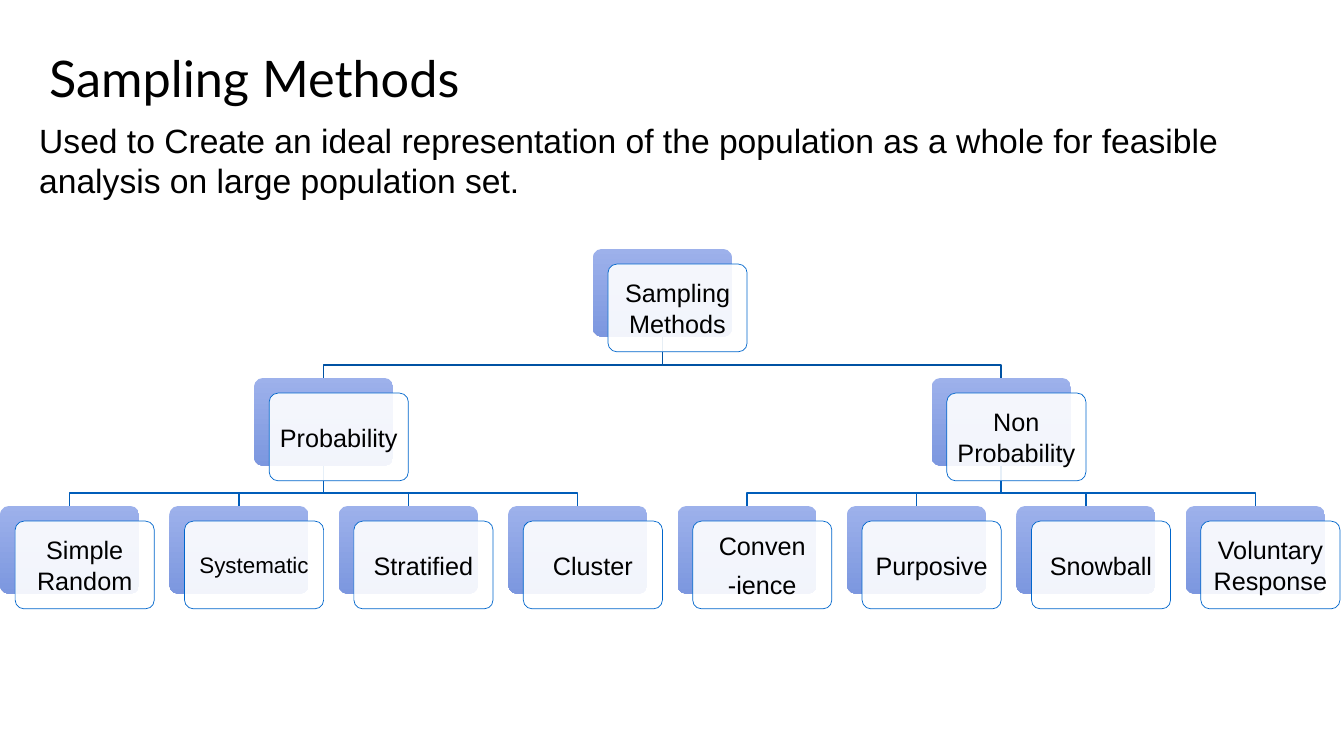
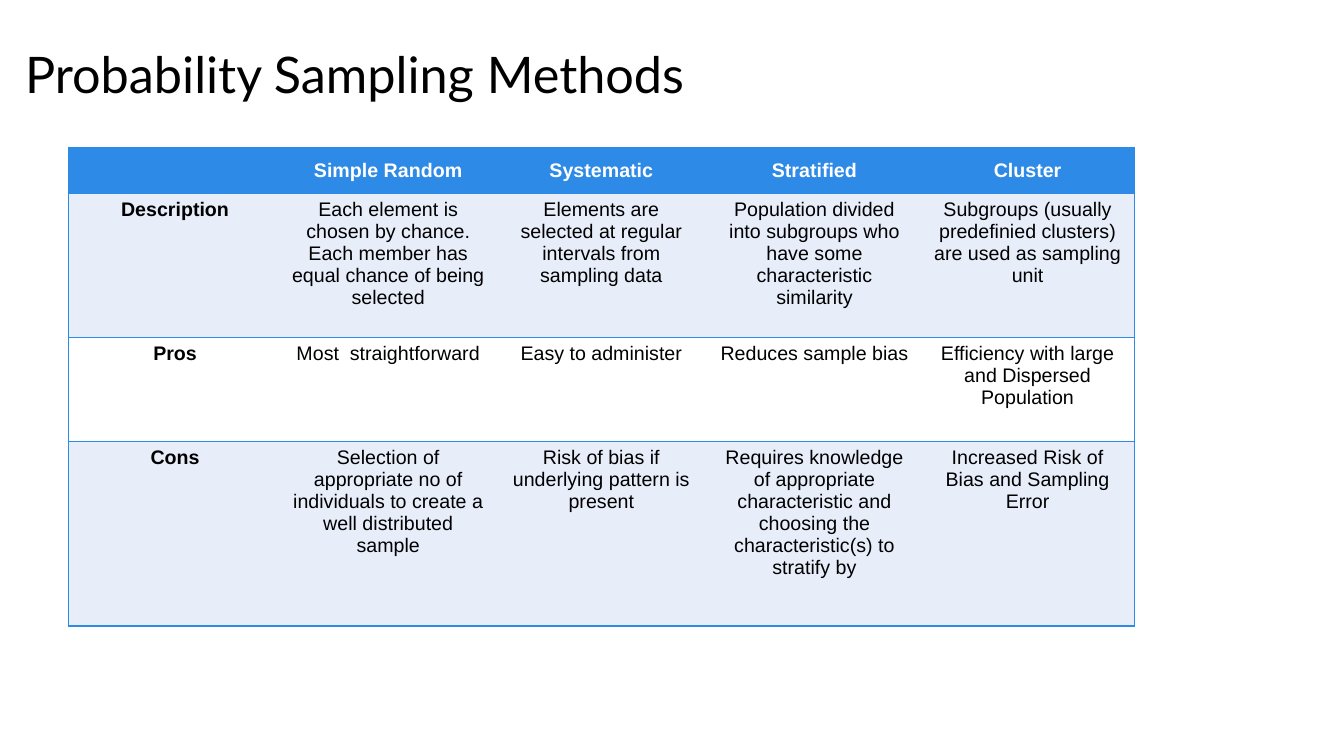
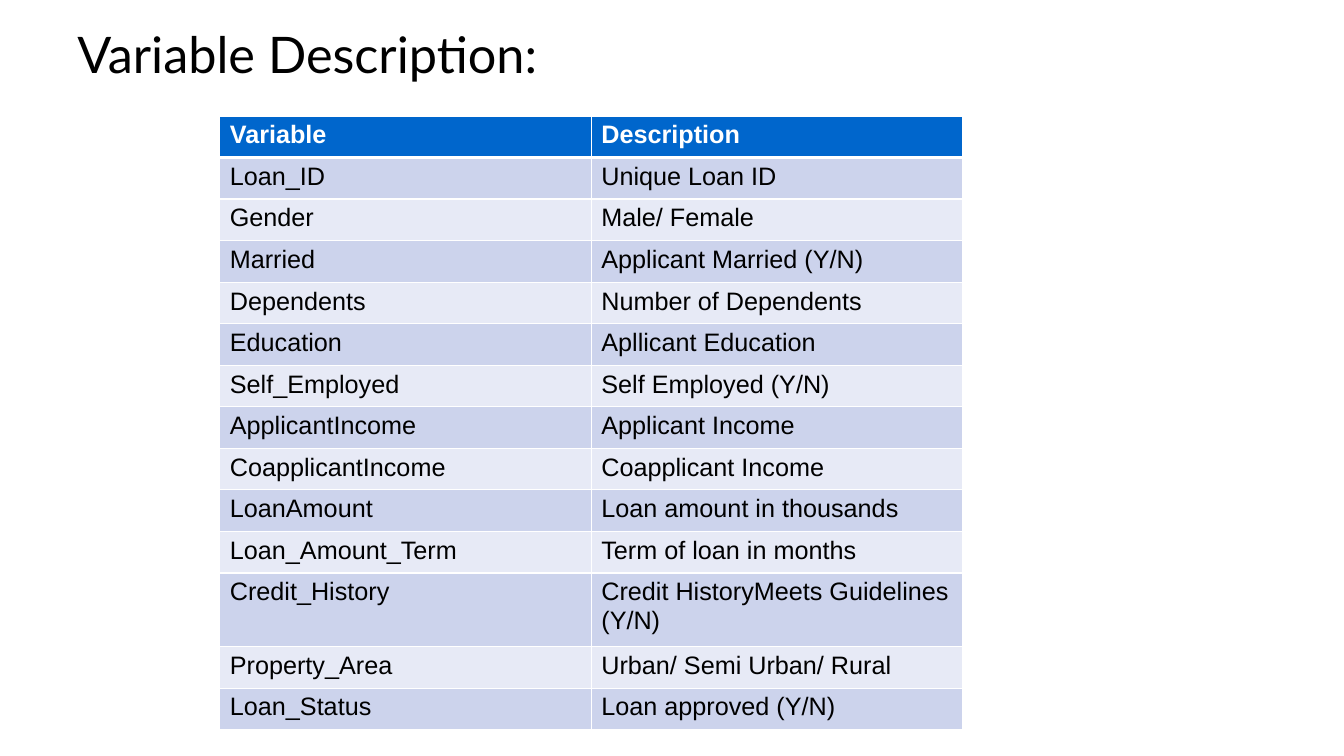
from dataclasses import dataclass
from typing import Any

from lxml import etree
from pptx import Presentation, util as u
from pptx.dml.color import RGBColor
from pptx.enum import shapes, text
from pptx.oxml import ns
from pptx.slide import Slide

BLACK, WHITE = "000000", "FFFFFF"
AZURE, ROYAL = "2D8AE7", "0066CC"
BODY_FONT, TITLE_FONT = "Arial", "Lato"
CENTER, LEFT = text.PP_ALIGN.CENTER, text.PP_ALIGN.LEFT
TOP, MIDDLE = text.MSO_ANCHOR.TOP, text.MSO_ANCHOR.MIDDLE

CARD_W, CARD_H, CARD_SHIFT, CARD_INSET = 1.38, 0.87, 0.15, 0.04
LEAF_PITCH, ELBOW_RISE = 1.68, 0.13
LEVEL_TOPS = (2.47, 3.75, 5.02)
LEVEL_LINES = ("0052A3", "005DB9")


@dataclass(frozen=True)
class Node:
    label: str
    level: int
    slot: float
    children: tuple["Node", ...] = ()
    size: int = 18

    @property
    def left(self) -> float:
        return self.slot * LEAF_PITCH

    @property
    def top(self) -> float:
        return LEVEL_TOPS[self.level]

    @property
    def middle(self) -> float:
        return self.left + CARD_W / 2


@dataclass(frozen=True)
class TableStyle:
    size: int
    align: Any
    header_anchor: Any
    header_fill: str
    bands: tuple[str, str]
    border: str
    header_rule: float
    inner_verticals: bool
    bold_first_column: bool


COMPARISON = TableStyle(14, CENTER, MIDDLE, AZURE, ("E8EDFA", WHITE), AZURE, 1, False, True)
DICTIONARY = TableStyle(18, LEFT, TOP, ROYAL, ("CCD3EC", "E7EAF6"), WHITE, 3, True, False)

METHOD_ROWS = [
    ("", "Simple Random", "Systematic", "Stratified", "Cluster"),
    ("Description",
     "Each element is chosen by chance. Each member has equal chance of being selected",
     "Elements are selected at regular intervals from sampling data",
     "Population divided into subgroups who have some characteristic similarity",
     "Subgroups (usually predefinied clusters) are used as sampling unit"),
    ("Pros", "Most  straightforward", "Easy to administer", "Reduces sample bias",
     "Efficiency with large and Dispersed Population"),
    ("Cons",
     "Selection of appropriate no of individuals to create a well distributed sample",
     "Risk of bias if underlying pattern is present",
     "Requires knowledge of appropriate characteristic and choosing the characteristic(s) to stratify by",
     "Increased Risk of Bias and Sampling Error"),
]

VARIABLE_ROWS = [
    ("Variable", "Description"),
    ("Loan_ID", "Unique Loan ID"),
    ("Gender", "Male/ Female"),
    ("Married", "Applicant Married (Y/N)"),
    ("Dependents", "Number of Dependents"),
    ("Education", "Apllicant Education"),
    ("Self_Employed", "Self Employed (Y/N)"),
    ("ApplicantIncome", "Applicant Income"),
    ("CoapplicantIncome", "Coapplicant Income"),
    ("LoanAmount", "Loan amount in thousands"),
    ("Loan_Amount_Term", "Term of loan in months"),
    ("Credit_History", "Credit HistoryMeets Guidelines (Y/N)"),
    ("Property_Area", "Urban/ Semi Urban/ Rural"),
    ("Loan_Status", "Loan approved (Y/N)"),
]


def rgb(value: str) -> RGBColor:
    return RGBColor.from_string(value)


def apply(target: Any, values: dict[str, Any]) -> None:
    for name, value in values.items():
        setattr(target, name, value)


def write(frame: Any, words: str, size: int, font: str = BODY_FONT, color: str = BLACK,
          bold: bool = False, align: Any = LEFT, after: int = 0) -> None:
    frame.text = words
    for paragraph in frame.paragraphs:
        apply(paragraph, {"alignment": align, "space_after": u.Pt(after)})
        for run in paragraph.runs:
            apply(run.font, {"name": font, "size": u.Pt(size), "bold": bold})
            run.font.color.rgb = rgb(color)


def add_text(slide: Slide, words: str, box: tuple[float, ...], size: int,
             font: str = BODY_FONT, anchor: Any = TOP) -> None:
    frame = slide.shapes.add_textbox(*map(u.Inches, box)).text_frame
    apply(frame, {"word_wrap": True, "vertical_anchor": anchor})
    write(frame, words, size, font)


def add_title(slide: Slide, words: str, left: float, top: float) -> None:
    add_text(slide, words, (left, top, 12, 0.64), 36, TITLE_FONT, MIDDLE)


def add_branches(slide: Slide, parent: Node) -> None:
    for child in parent.children:
        elbow = child.top - ELBOW_RISE
        points = [(parent.middle, parent.top + CARD_H), (parent.middle, elbow),
                  (child.middle, elbow), (child.middle, child.top)]
        start, *rest = [(u.Inches(x), u.Inches(y)) for x, y in points]
        builder = slide.shapes.build_freeform(*start)
        builder.add_line_segments(rest, close=False)
        branch = builder.convert_to_shape()
        branch.shadow.inherit = False
        branch.fill.background()
        branch.line.color.rgb = rgb(LEVEL_LINES[parent.level])
        branch.line.width = u.Pt(1)
        add_branches(slide, child)


def add_plate(slide: Slide, left: float, top: float) -> Any:
    plate = slide.shapes.add_shape(shapes.MSO_SHAPE.ROUNDED_RECTANGLE,
                                   *map(u.Inches, (left, top, CARD_W, CARD_H)))
    plate.adjustments[0] = 0.1
    plate.shadow.inherit = False
    return plate


def add_cards(slide: Slide, node: Node) -> None:
    back = add_plate(slide, node.left, node.top)
    back.line.fill.background()
    back.fill.gradient()
    back.fill.gradient_angle = 270
    for stop, color in zip(back.fill.gradient_stops, ("9DB1EB", "7C97DF")):
        stop.color.rgb = rgb(color)

    front = add_plate(slide, node.left + CARD_SHIFT, node.top + CARD_SHIFT)
    front.fill.solid()
    front.fill.fore_color.rgb = rgb(WHITE)
    tint = front.fill._xPr.find(".//" + ns.qn("a:srgbClr"))
    etree.SubElement(tint, ns.qn("a:alpha"), val="90000")
    front.line.color.rgb = rgb(ROYAL)
    front.line.width = u.Pt(0.5)
    sides = ("margin_left", "margin_right", "margin_top", "margin_bottom")
    apply(front.text_frame, {side: u.Inches(CARD_INSET) for side in sides}
          | {"word_wrap": True, "vertical_anchor": MIDDLE})
    write(front.text_frame, node.label, node.size, align=CENTER, after=6)

    for child in node.children:
        add_cards(slide, child)


def set_border(cell: Any, side: str, color: str, width: float) -> None:
    line = etree.SubElement(cell._tc.get_or_add_tcPr(), ns.qn(f"a:ln{side}"),
                            w=str(u.Pt(width)))
    if width:
        fill = etree.SubElement(line, ns.qn("a:solidFill"))
        etree.SubElement(fill, ns.qn("a:srgbClr"), val=color)
    else:
        etree.SubElement(line, ns.qn("a:noFill"))


def add_grid(slide: Slide, rows: list[tuple[str, ...]], left: float, top: float,
             width: float, heights: list[float], style: TableStyle) -> None:
    last = len(rows[0]) - 1
    table = slide.shapes.add_table(
        len(rows), last + 1, u.Inches(left), u.Inches(top),
        u.Inches(width), u.Inches(sum(heights))).table
    for column in table.columns:
        column.width = u.Inches(width / (last + 1))
    for r, (words, height) in enumerate(zip(rows, heights)):
        table.rows[r].height = u.Inches(height)
        header = r == 0
        fill = style.header_fill if header else style.bands[(r - 1) % 2]
        for c, word in enumerate(words):
            cell = table.cell(r, c)
            borders = {
                "L": float(style.inner_verticals or c == 0),
                "R": float(style.inner_verticals or c == last),
                "T": style.header_rule if r == 1 else 1,
                "B": style.header_rule if header else 1,
            }
            for side, weight in borders.items():
                set_border(cell, side, style.border, weight)
            cell.fill.solid()
            cell.fill.fore_color.rgb = rgb(fill)
            cell.vertical_anchor = style.header_anchor if header else TOP
            write(cell.text_frame, word, style.size, color=WHITE if header else BLACK,
                  bold=header or (style.bold_first_column and c == 0), align=style.align)


def sampling_tree() -> Node:
    labels = ("Simple Random", "Systematic", "Stratified", "Cluster",
              "Conven\n-ience", "Purposive", "Snowball", "Voluntary Response")
    leaves = tuple(Node(label, 2, slot, size=16 if label == "Systematic" else 18)
                   for slot, label in enumerate(labels))
    families = (Node("Probability", 1, 1.5, leaves[:4]),
                Node("Non Probability", 1, 5.5, leaves[4:]))
    return Node("Sampling Methods", 0, 3.5, families)


def main() -> None:
    deck = Presentation()
    apply(deck, {"slide_width": u.Inches(13.33), "slide_height": u.Inches(7.5)})
    overview, methods, variables = [deck.slides.add_slide(deck.slide_layouts[6])
                                    for _ in range(3)]

    tree = sampling_tree()
    add_branches(overview, tree)
    add_cards(overview, tree)
    add_title(overview, "Sampling Methods", 0.39, 0.45)
    add_text(overview, "Used to Create an ideal representation of the population as a whole "
             "for feasible analysis on large population set.", (0.29, 1.14, 12.48, 0.93), 24)

    add_title(methods, "Probability Sampling Methods", 0.15, 0.41)
    add_grid(methods, METHOD_ROWS, 0.68, 1.46, 10.57, [0.46, 1.43, 1.03, 1.83], COMPARISON)

    add_title(variables, "Variable Description:", 0.67, 0.21)
    tall = 0.73
    regular = (6.09 - tall) / (len(VARIABLE_ROWS) - 1)
    heights = [tall if name == "Credit_History" else regular for name, _ in VARIABLE_ROWS]
    add_grid(variables, VARIABLE_ROWS, 2.18, 1.15, 7.37, heights, DICTIONARY)

    deck.save("out.pptx")


if __name__ == "__main__":
    main()
